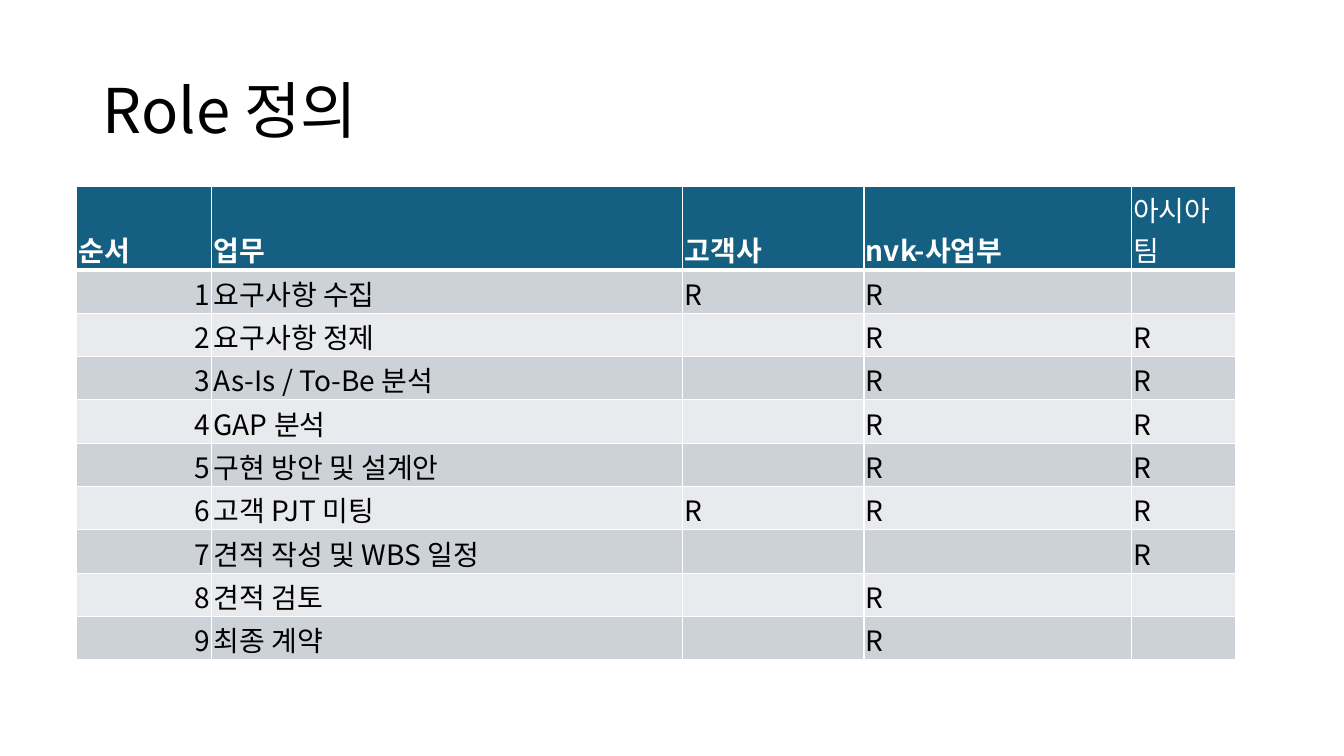
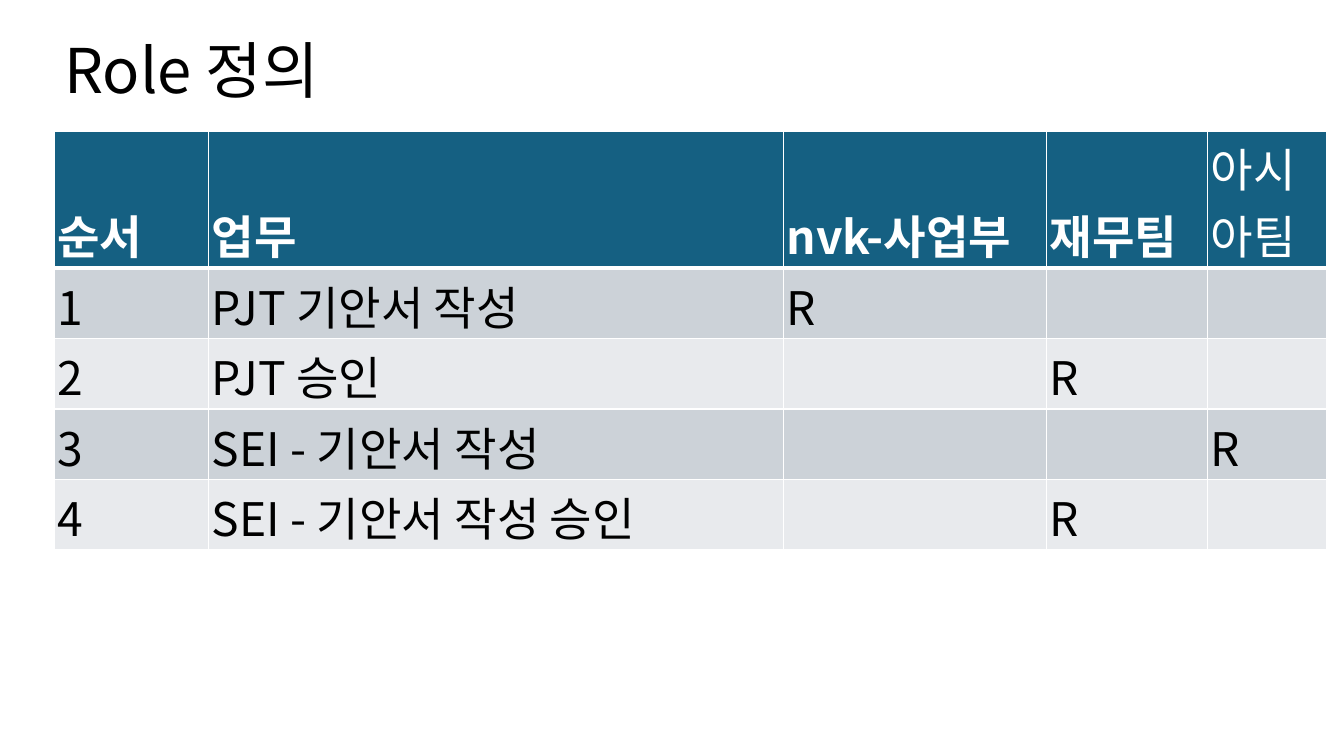
from dataclasses import dataclass

from lxml import etree
from pptx import Presentation
from pptx.dml.color import RGBColor
from pptx.enum.text import MSO_ANCHOR, PP_ALIGN
from pptx.oxml.ns import qn
from pptx.util import Emu, Pt

LEFT, RIGHT = PP_ALIGN.LEFT, PP_ALIGN.RIGHT
MIDDLE, BOTTOM = MSO_ANCHOR.MIDDLE, MSO_ANCHOR.BOTTOM
EMU_PER_PX = 9144
FONT = "Noto Sans CJK KR"
WHITE, BLACK, TEAL = "FFFFFF", "000000", "156082"
BANDS = ("CCD2D8", "E8EAED")
TITLE = "Role 정의"
TITLE_W, TITLE_H = 1150, 145
DIVISION = "nvk-사업부"


@dataclass(frozen=True)
class RoleSlide:
    """Content and geometry of one role table slide."""

    title_at: tuple[int, int]
    table_at: tuple[int, int]
    widths: tuple[int, ...]
    header_h: int
    row_h: int
    size: int
    margin: int
    number_align: PP_ALIGN
    team_font: str
    header: tuple[str, ...]
    tasks: tuple[tuple[str, str], ...]


SLIDES = (
    RoleSlide(
        (92, 40), (76, 185), (134, 467, 180, 265, 104),
        80, 43, 20, 2, RIGHT, FONT,
        ("순서", "업무", "고객사", DIVISION, "아시아팀"),
        (
            ("요구사항 수집", "RR."),
            ("요구사항 정제", ".RR"),
            ("As-Is / To-Be 분석", ".RR"),
            ("GAP 분석", ".RR"),
            ("구현 방안 및 설계안", ".RR"),
            ("고객 PJT 미팅", "RRR"),
            ("견적 작성 및 WBS 일정", "..R"),
            ("견적 검토", ".R."),
            ("최종 계약", ".R."),
        ),
    ),
    RoleSlide(
        (54, 0), (54, 130), (153, 570, 261, 160, 118),
        133, 70, 33, 3, LEFT, "Roboto",
        ("순서", "업무", DIVISION, "재무팀", "아시아팀"),
        (
            ("PJT 기안서 작성", "R.."),
            ("PJT 승인", ".R."),
            ("SEI - 기안서 작성", "..R"),
            ("SEI - 기안서 작성 승인", ".R."),
        ),
    ),
)


def px(n: int) -> Emu:
    """Turn px into EMU."""
    return Emu(n * EMU_PER_PX)


def rgb(color: str) -> RGBColor:
    """Turn a hex string into a colour."""
    return RGBColor.from_string(color)


def set_font(p, size: int, color: str, bold: bool = False, name: str = FONT) -> None:
    """Format a paragraph, with the shared typeface for Korean text."""
    f = p.font
    f.size, f.bold, f.name = Pt(size), bold, name
    f.color.rgb = rgb(color)
    props = p._p.pPr.find(qn("a:defRPr"))
    etree.SubElement(props, qn("a:ea"), typeface=FONT)


def set_borders(cell, top: int, bottom: int) -> None:
    """Draw white borders, with top and bottom widths in points."""
    tcPr = cell._tc.get_or_add_tcPr()
    for side, width in (("L", 1), ("R", 1), ("T", top), ("B", bottom)):
        ln = etree.SubElement(tcPr, qn(f"a:ln{side}"), w=str(Pt(width)))
        fill = etree.SubElement(ln, qn("a:solidFill"))
        etree.SubElement(fill, qn("a:srgbClr"), val=WHITE)


def add_title(s, spec: RoleSlide) -> None:
    """Place and format the title placeholder."""
    title = s.shapes.title
    title.left, title.top = map(px, spec.title_at)
    title.width, title.height = px(TITLE_W), px(TITLE_H)
    tf = title.text_frame
    tf.text = TITLE
    tf.vertical_anchor = MIDDLE
    p = tf.paragraphs[0]
    p.alignment, p.line_spacing = LEFT, 0.9
    set_font(p, 44, BLACK)


def fill_cell(cell, text: str, row: int, col: int, spec: RoleSlide) -> None:
    """Write and format one table cell."""
    is_header = row == 0
    is_team = is_header and col == len(spec.widths) - 1
    set_borders(cell, 3 if row == 1 else 1, 3 if is_header else 1)
    cell.fill.solid()
    cell.fill.fore_color.rgb = rgb(TEAL if is_header else BANDS[(row - 1) % 2])
    cell.vertical_anchor = BOTTOM
    cell.margin_left = cell.margin_right = cell.margin_top = px(spec.margin)
    cell.margin_bottom = 0
    cell.text = text
    p = cell.text_frame.paragraphs[0]
    p.alignment = spec.number_align if col == 0 and not is_header else LEFT
    set_font(p, spec.size, WHITE if is_header else BLACK,
             is_header and not is_team, spec.team_font if is_team else FONT)


def add_role_table(s, spec: RoleSlide) -> None:
    """Draw the table of tasks and responsible teams."""
    rows = [spec.header]
    for number, (task, marks) in enumerate(spec.tasks, 1):
        rows.append((str(number), task, *(mark.strip(".") for mark in marks)))
    heights = [spec.header_h] + [spec.row_h] * len(spec.tasks)
    x, y = spec.table_at
    table = s.shapes.add_table(len(rows), len(spec.widths), px(x), px(y),
                               px(sum(spec.widths)), px(sum(heights))).table
    for column, width in zip(table.columns, spec.widths):
        column.width = px(width)
    for r, (height, texts) in enumerate(zip(heights, rows)):
        table.rows[r].height = px(height)
        for c, text in enumerate(texts):
            fill_cell(table.cell(r, c), text, r, c, spec)


def main() -> None:
    """Build and save the presentation."""
    prs = Presentation()
    prs.slide_width, prs.slide_height = px(1333), px(750)
    for spec in SLIDES:
        s = prs.slides.add_slide(prs.slide_layouts[5])
        add_title(s, spec)
        add_role_table(s, spec)
    prs.save("out.pptx")


if __name__ == "__main__":
    main()
